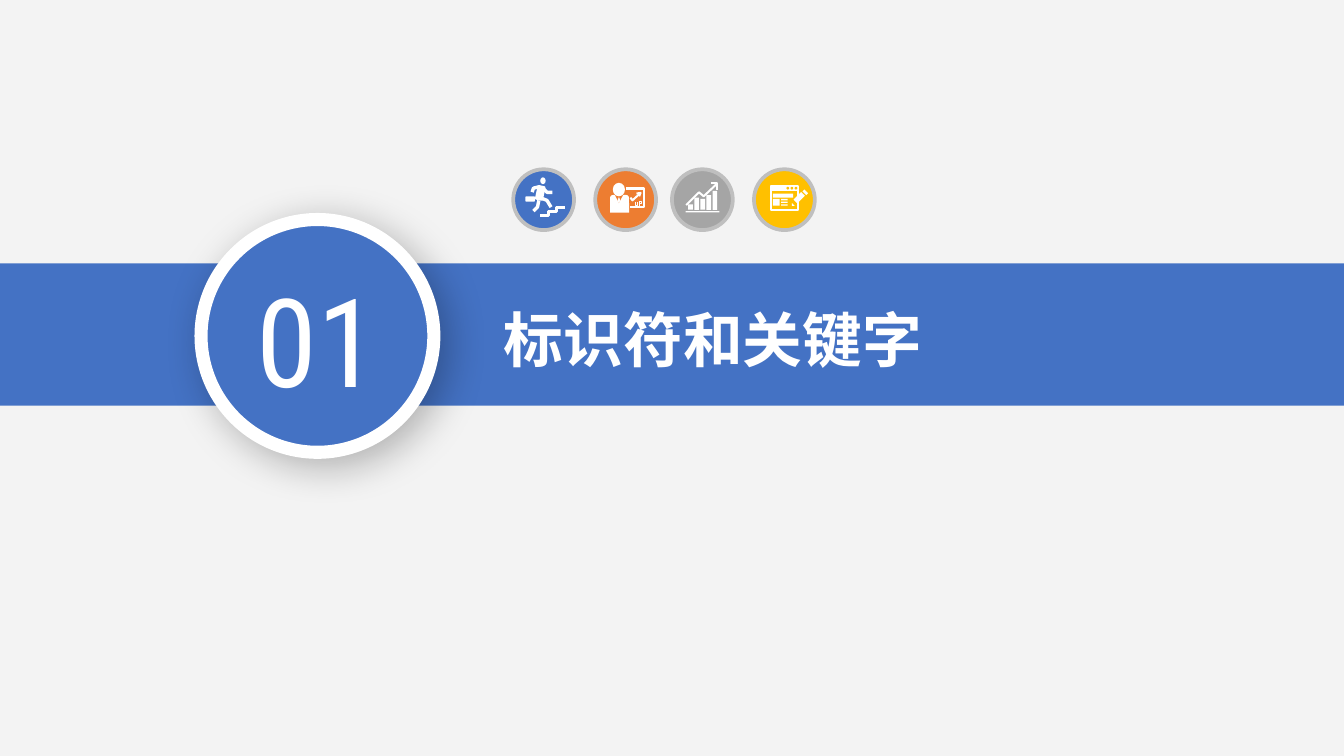
import lxml.etree
import pptx
import pptx.dml.color
import pptx.enum.shapes
import pptx.enum.text
import pptx.oxml
import pptx.oxml.ns
import pptx.util

Cm = pptx.util.Cm
Pt = pptx.util.Pt
SHAPES = pptx.enum.shapes.MSO_SHAPE
ALIGN = pptx.enum.text.PP_ALIGN

COLORS = {
    "background": "F3F3F3",
    "blue": "4472C4",
    "orange": "ED7D31",
    "gray": "A5A5A5",
    "yellow": "FFC000",
    "ring": "BFBFBF",
    "white": "FFFFFF",
    "shadow": "000000",
}
BADGE_SIZE = 1.15
BADGE_TOP = 3.2
BADGE_CELLS = 45


def color(name):
    return pptx.dml.color.RGBColor.from_string(COLORS[name])


def write_text(frame, text, font, size, fill="white", bold=False, align=ALIGN.LEFT):
    frame.word_wrap = True
    frame.auto_size = pptx.enum.text.MSO_AUTO_SIZE.SHAPE_TO_FIT_TEXT
    frame.vertical_anchor = pptx.enum.text.MSO_ANCHOR.TOP
    paragraph = frame.paragraphs[0]
    paragraph.alignment = align
    run = paragraph.add_run()
    run.text = text
    run.font.name = font
    run.font.size = Pt(size)
    run.font.bold = bold
    run.font.color.rgb = color(fill)
    lxml.etree.SubElement(run.font._element, pptx.oxml.ns.qn("a:ea"), typeface=font)


class SectionSlide:
    def __init__(self, presentation):
        self.slide = presentation.slides.add_slide(presentation.slide_layouts[5])
        self.slide.background.fill.solid()
        self.slide.background.fill.fore_color.rgb = color("background")
        self.use_slide()

    def use_slide(self):
        self.shapes = self.slide.shapes
        self.left, self.top, self.unit = 0, 0, Cm(1)

    def use_badge(self, left):
        self.shapes = self.slide.shapes.add_group_shape().shapes
        self.left, self.top = Cm(left), Cm(BADGE_TOP)
        self.unit = Cm(BADGE_SIZE) / BADGE_CELLS

    def point(self, x, y):
        return round(self.left + x * self.unit), round(self.top + y * self.unit)

    def box(self, x, y, width, height):
        return *self.point(x, y), round(width * self.unit), round(height * self.unit)

    def preset(self, kind, x, y, width, height, fill="white", line=None, line_width=0, rotation=0):
        shape = self.shapes.add_shape(kind, *self.box(x, y, width, height))
        shape.rotation = rotation
        shape.shadow.inherit = False
        shape.fill.solid()
        shape.fill.fore_color.rgb = color(fill)
        if line:
            shape.line.color.rgb = color(line)
            shape.line.width = Pt(line_width)
        else:
            shape.line.fill.background()
        return shape

    def stroke(self, points, width, close=False):
        corners = [self.point(x, y) for x, y in points]
        builder = self.shapes.build_freeform(*corners[0])
        builder.add_line_segments(corners[1:], close=close)
        shape = builder.convert_to_shape()
        shape.shadow.inherit = False
        shape.fill.background()
        shape.line.color.rgb = color("white")
        shape.line.width = round(width * self.unit)

    def badge(self, left, fill, draw_icon):
        self.use_badge(left)
        self.preset(SHAPES.OVAL, 0, 0, BADGE_CELLS, BADGE_CELLS, fill, line="ring", line_width=2)
        draw_icon(self, fill)
        self.use_slide()

    def title(self, text, behind):
        title = self.slide.shapes.title
        title.left, title.top, title.width, title.height = self.box(9.27, 5.59, 10, 1.63)
        write_text(title.text_frame, text, "Noto Sans CJK SC", 32, bold=True)
        behind.element.addnext(title.element)

    def shadow(self, shape, blur, distance, angle, opacity):
        effects = shape.element.spPr.find(pptx.oxml.ns.qn("a:effectLst"))
        effects.append(pptx.oxml.parse_xml(
            f'<a:outerShdw {pptx.oxml.ns.nsdecls("a")} blurRad="{Pt(blur)}" dist="{Pt(distance)}" '
            f'dir="{angle * 60000}" algn="tl" rotWithShape="0"><a:srgbClr val="{COLORS["shadow"]}">'
            f'<a:alpha val="{opacity * 1000}"/></a:srgbClr></a:outerShdw>'))

    def number(self, text):
        circle = self.preset(SHAPES.OVAL, 3.8, 4.15, 4.4, 4.4, "blue", line="white", line_width=7)
        self.shadow(circle, blur=22, distance=6, angle=45, opacity=28)
        frame = self.shapes.add_textbox(*self.box(4.34, 4.9, 3.33, 3.02)).text_frame
        frame.margin_left = frame.margin_right = Cm(0.18)
        frame.margin_top = frame.margin_bottom = Cm(0.1)
        write_text(frame, text, "Roboto Condensed", 66, align=ALIGN.CENTER)


def draw_runner(section, fill):
    head = (20, 6, 4, 5)
    torso = (17, 12, 6, 11)
    briefcase = (9, 20, 7, 4)
    front_arm = [(22, 14), (25, 17), (29, 17)]
    back_arm = [(19, 13), (15, 14), (14, 17)]
    front_leg = [(20, 21), (25, 23), (28, 28)]
    back_leg = [(19, 23), (18, 28), (15, 31)]
    section.preset(SHAPES.OVAL, *head)
    section.preset(SHAPES.ROUNDED_RECTANGLE, *torso, rotation=12)
    section.preset(SHAPES.ROUNDED_RECTANGLE, *briefcase)
    for limb in (front_arm, back_arm, front_leg, back_leg):
        section.stroke(limb, width=2.5)
    tread, rise = 6, 3
    stairs = [(20 + tread * (step + side), 34 - rise * step) for step in range(3) for side in (0, 1)]
    section.stroke(stairs, width=2)


def draw_speaker(section, fill):
    head = (13, 10, 9, 10)
    jacket = (11, 19, 14, 13)
    collar = (14.5, 19, 6, 6)
    tie = (16.5, 20.5, 2, 5)
    screen = [(23, 14), (36, 14), (36, 28), (26, 28)]
    arrow = [(26, 21), (27.5, 23), (33, 18)]
    arrow_tip = [(30.5, 18), (33.5, 17.5), (32.5, 20)]
    letter_u = [(29.5, 24), (29.5, 26.5), (31, 26.5), (31, 24)]
    letter_p = [(32.5, 27), (32.5, 24), (34, 24), (34, 25.5), (32.5, 25.5)]
    section.preset(SHAPES.ROUND_2_SAME_RECTANGLE, *jacket)
    section.preset(SHAPES.FLOWCHART_MERGE, *collar, fill=fill)
    section.preset(SHAPES.DIAMOND, *tie)
    section.preset(SHAPES.OVAL, *head)
    section.stroke(screen, width=2)
    for line in (arrow, arrow_tip):
        section.stroke(line, width=1.5)
    for letter in (letter_u, letter_p):
        section.stroke(letter, width=0.7)


def draw_growth_chart(section, fill):
    bottom, first_bar, bar_step, bar_width = 30, 12, 4.5, 3.5
    for index, top in enumerate((26, 21, 22, 19, 16)):
        section.preset(SHAPES.RECTANGLE, first_bar + index * bar_step, top, bar_width, bottom - top)
    section.preset(SHAPES.RECTANGLE, 10, 31, 25, 1)
    trend = [(10.5, 26.5), (20, 17), (23.5, 20), (33.5, 10.5)]
    trend_tip = [(29, 10.5), (33.5, 10.5), (33.5, 15)]
    for line in (trend, trend_tip):
        section.stroke(line, width=1.5)


def draw_web_form(section, fill):
    left, top, right, bottom = 12.5, 12.5, 32.5, 30
    section.stroke([(left, top), (right, top), (right, bottom), (left, bottom)], width=1.4, close=True)
    section.preset(SHAPES.RECTANGLE, left, top, right - left, 3.5)
    for x in (24, 27, 30):
        section.preset(SHAPES.OVAL, x, 13, 2, 2, fill)
    banner, thumbnail = (14, 18, 15, 3), (14, 22, 5, 5)
    text_lines = [(20, y, 5, 1) for y in (22, 24, 26)]
    for block in (banner, thumbnail, *text_lines):
        section.preset(SHAPES.RECTANGLE, *block)
    pen_tip, pen_barrel, pen_cap = (28, 25, 2, 2), (29.5, 19, 8, 4), (37, 15, 2, 4)
    section.preset(SHAPES.RIGHT_TRIANGLE, *pen_tip)
    for part in (pen_barrel, pen_cap):
        section.preset(SHAPES.RECTANGLE, *part, rotation=-45)


def main():
    presentation = pptx.Presentation()
    presentation.slide_width = Cm(25.4)
    presentation.slide_height = Cm(14.29)
    section = SectionSlide(presentation)
    band = section.preset(SHAPES.RECTANGLE, 0, 4.98, 25.4, 2.69, "blue")
    section.title("标识符和关键字", behind=band)
    section.badge(9.7, "blue", draw_runner)
    section.badge(11.25, "orange", draw_speaker)
    section.badge(12.7, "gray", draw_growth_chart)
    section.badge(14.25, "yellow", draw_web_form)
    section.number("01")
    presentation.save("out.pptx")


if __name__ == "__main__":
    main()
